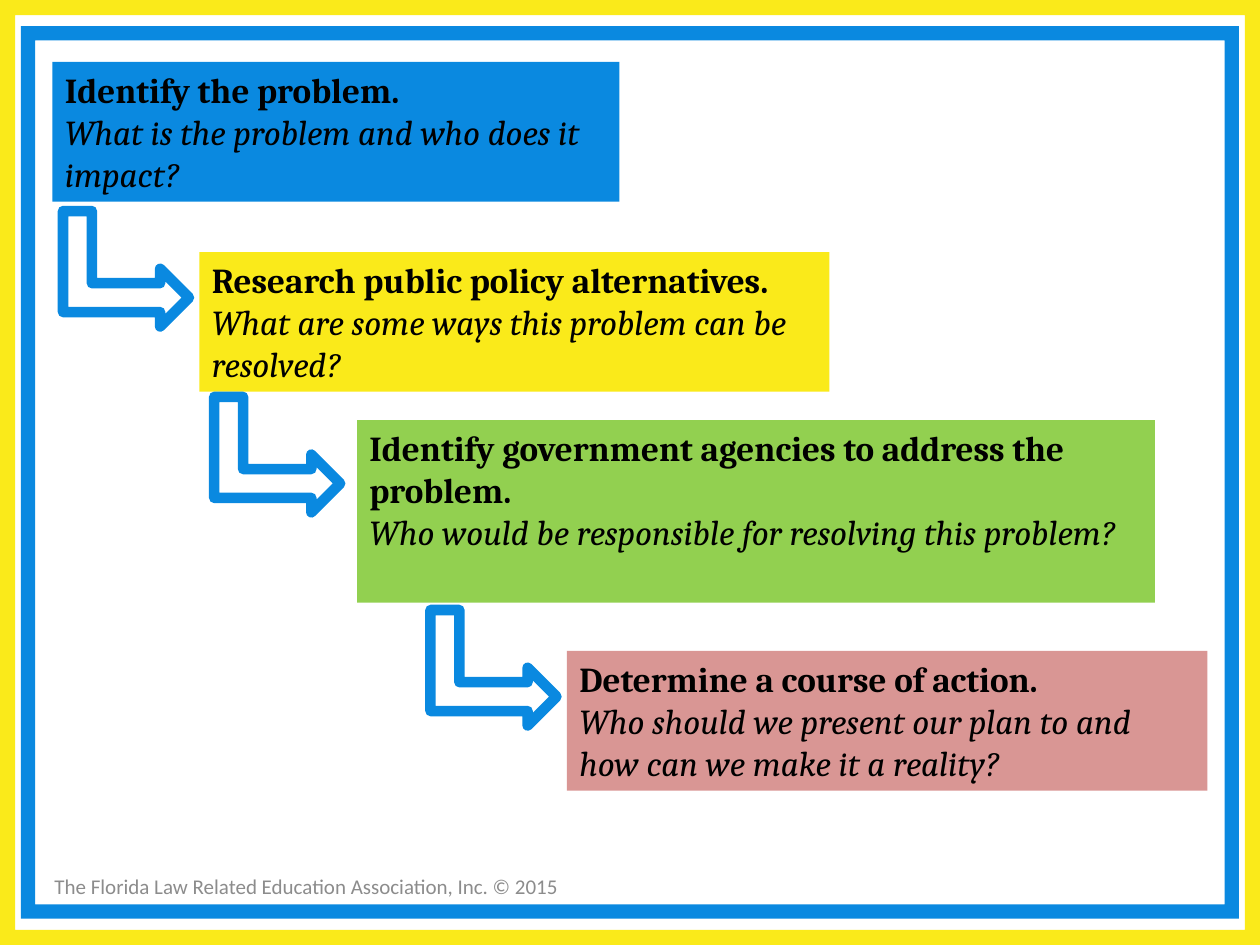
from typing import NamedTuple

from pptx import Presentation
from pptx.dml.color import RGBColor
from pptx.enum.shapes import MSO_SHAPE
from pptx.enum.text import MSO_ANCHOR, PP_ALIGN
from pptx.util import Inches, Pt

COLUMNS, ROWS = 120, 90
SLIDE_WIDTH, SLIDE_HEIGHT = Inches(10), Inches(7.5)
COLORS = {
    "yellow": "FAEA1A",
    "blue": "0A89E0",
    "green": "92D050",
    "rose": "D99694",
    "white": "FFFFFF",
    "black": "000000",
    "gray": "8C8C8C",
}


class Area(NamedTuple):
    """A place on the grid, in columns and rows."""
    column: float
    row: float
    columns: float
    rows: float


class Step(NamedTuple):
    heading: str
    question: str
    color: str
    area: Area


FRAMES = [
    ("yellow", Area(0, 0, COLUMNS, ROWS)),
    ("blue", Area(2, 2.5, 116, 85)),
]
STEPS = [
    Step("Identify the problem.",
         "What is the problem and who does it impact?",
         "blue", Area(5, 5.9, 54, 13.3)),
    Step("Research public policy alternatives.",
         "What are some ways this problem can be resolved?",
         "yellow", Area(19, 24, 60, 13.3)),
    Step("Identify government agencies to address the problem.",
         "Who would be responsible for resolving this problem?",
         "green", Area(34, 40, 76, 17.4)),
    Step("Determine a course of action.",
         "Who should we present our plan to and how can we make it a reality?",
         "rose", Area(54, 62, 61, 13.3)),
]
ARROW_CORNERS = [(6.5, 19.6), (20.9, 37.3), (41.5, 57.6)]
FOOTER = "The Florida Law Related Education Association, Inc. © 2015"


def color(name: str) -> RGBColor:
    return RGBColor.from_string(COLORS[name])


def place(area: Area) -> tuple[int, int, int, int]:
    """Turn grid cells into slide lengths."""
    column_width, row_height = SLIDE_WIDTH / COLUMNS, SLIDE_HEIGHT / ROWS
    return (round(area.column * column_width), round(area.row * row_height),
            round(area.columns * column_width), round(area.rows * row_height))


def add_filled_shape(page, kind: MSO_SHAPE, area: Area, fill: str):
    shape = page.shapes.add_shape(kind, *place(area))
    shape.shadow.inherit = False
    shape.fill.solid()
    shape.fill.fore_color.rgb = color(fill)
    shape.line.fill.background()
    return shape


def set_font(para, name: str, size: int, text_color: str) -> None:
    para.alignment = PP_ALIGN.LEFT
    para.font.name = name
    para.font.size = Pt(size)
    para.font.color.rgb = color(text_color)


def add_frame(page, fill: str, area: Area) -> None:
    frame = add_filled_shape(page, MSO_SHAPE.FRAME, area, fill)
    frame.adjustments[0] = 0.016


def add_footer(page) -> None:
    box = page.shapes.add_textbox(*place(Area(4, 82, 51, 4.8)))
    box.text_frame.word_wrap = True
    box.text_frame.vertical_anchor = MSO_ANCHOR.MIDDLE
    para = box.text_frame.paragraphs[0]
    para.text = FOOTER
    set_font(para, "Calibri", 12, "gray")


def add_step(page, step: Step) -> None:
    box = add_filled_shape(page, MSO_SHAPE.RECTANGLE, step.area, step.color)
    frame = box.text_frame
    frame.word_wrap = True
    frame.vertical_anchor = MSO_ANCHOR.TOP
    heading, question = frame.paragraphs[0], frame.add_paragraph()
    heading.text, question.text = step.heading, step.question
    for para in (heading, question):
        set_font(para, "Cambria", 20, "black")
    heading.font.bold = True
    question.font.italic = True


def add_arrow(page, column: float, row: float) -> None:
    arrow = add_filled_shape(page, MSO_SHAPE.BENT_UP_ARROW,
                             Area(column, row, 11, 12), "white")
    arrow.rotation = 90
    arrow.line.color.rgb = color("blue")
    arrow.line.width = Pt(6)


def main() -> None:
    deck = Presentation()
    deck.slide_width, deck.slide_height = SLIDE_WIDTH, SLIDE_HEIGHT
    page = deck.slides.add_slide(deck.slide_layouts.get_by_name("Blank"))
    for fill, area in FRAMES:
        add_frame(page, fill, area)
    add_footer(page)
    for step in STEPS:
        add_step(page, step)
    for column, row in ARROW_CORNERS:
        add_arrow(page, column, row)
    deck.save("out.pptx")


if __name__ == "__main__":
    main()
